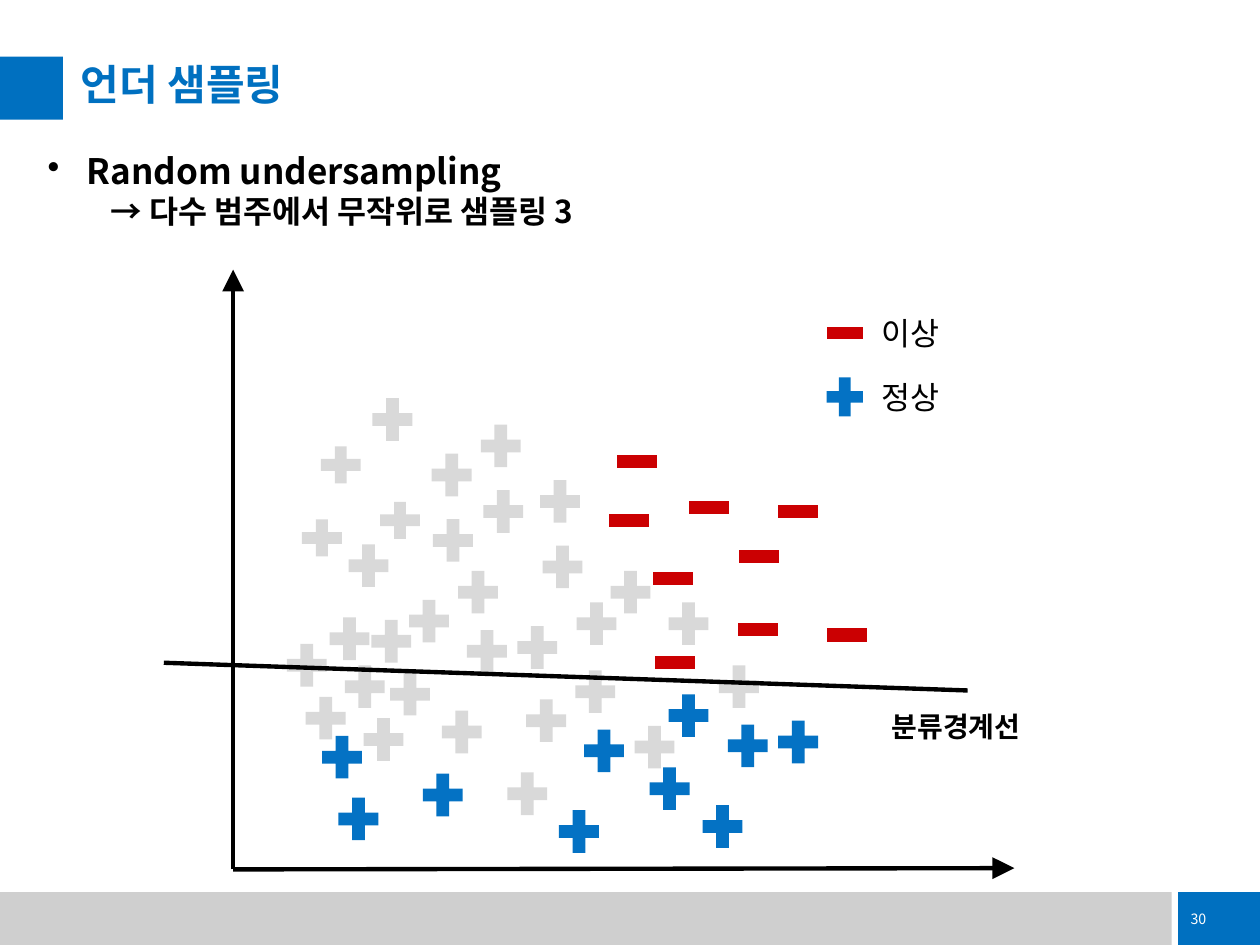
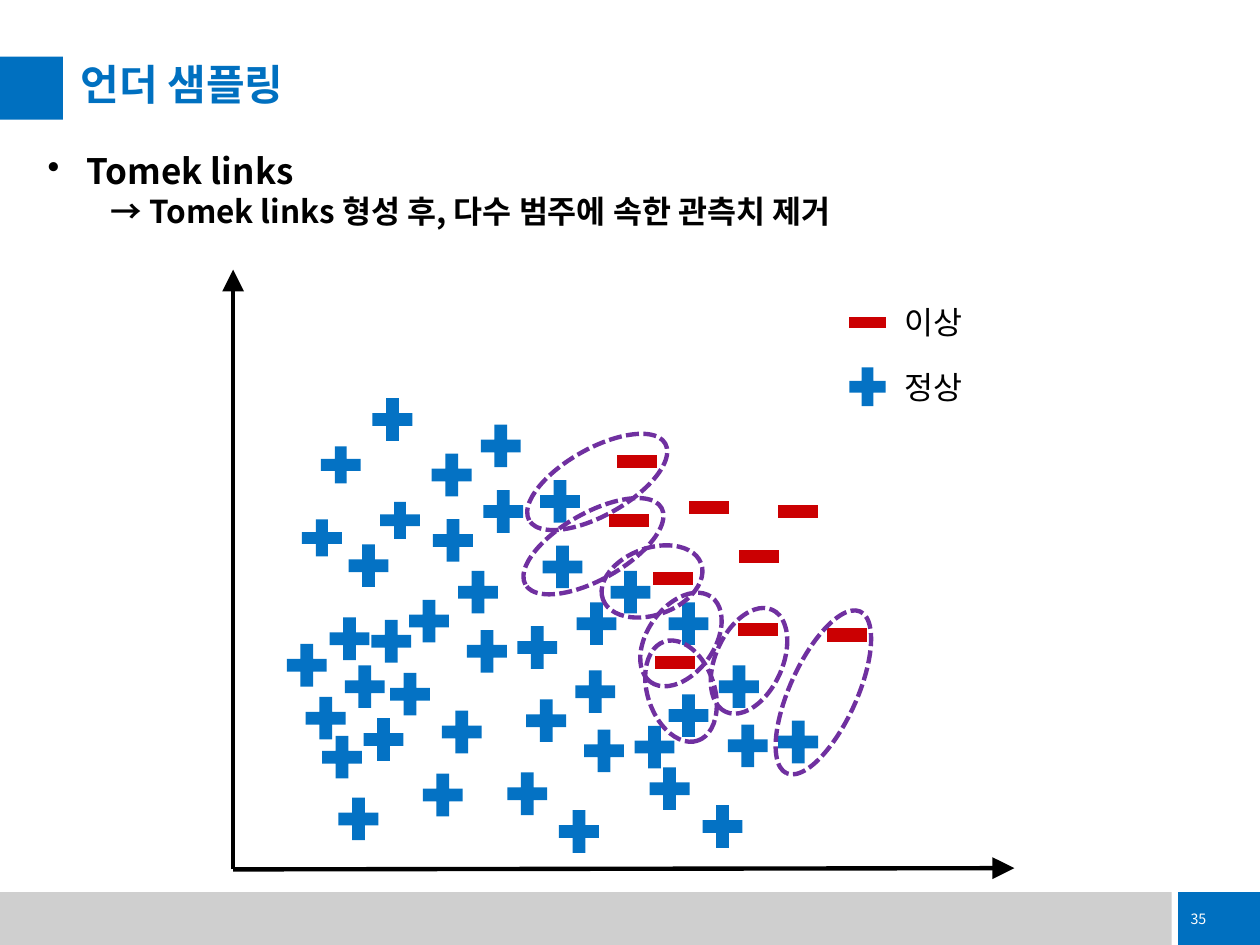
import pptx
import pptx.util
import pptx.dml.color
import pptx.enum.dml
import pptx.enum.shapes
import pptx.enum.text
import pptx.oxml.ns
import lxml.etree

PX = 9144  # 100 px to the inch
FONT = "Noto Sans CJK KR"
BLUE = pptx.dml.color.RGBColor(0x00, 0x70, 0xC0)
NORMAL_BLUE = pptx.dml.color.RGBColor(0x04, 0x72, 0xC4)
ABNORMAL_RED = pptx.dml.color.RGBColor(0xCB, 0x00, 0x02)
REMOVED_GRAY = pptx.dml.color.RGBColor(0xD9, 0xD9, 0xD9)
BAND_GRAY = pptx.dml.color.RGBColor(0xCF, 0xCF, 0xCF)
PURPLE = pptx.dml.color.RGBColor(0x70, 0x30, 0xA0)
BLACK = pptx.dml.color.RGBColor(0, 0, 0)
WHITE = pptx.dml.color.RGBColor(255, 255, 255)

SHAPE = pptx.enum.shapes.MSO_SHAPE
ANCHOR = pptx.enum.text.MSO_ANCHOR
FIT = pptx.enum.text.MSO_AUTO_SIZE
qn = pptx.oxml.ns.qn

TITLE_FRAME = {"margin_left": 0, "margin_top": 0, "margin_right": 0, "margin_bottom": 0,
               "vertical_anchor": ANCHOR.TOP, "auto_size": FIT.NONE, "word_wrap": True}
TEXT_FRAME = {"word_wrap": True, "auto_size": FIT.SHAPE_TO_FIT_TEXT}

# Observations: left, top; the normal ones are split by random undersampling
KEPT = [(458, 573), (438, 637), (263, 627), (330, 608), (250, 578), (525, 545),
        (612, 566), (572, 569), (552, 633), (510, 603)]
REMOVED = [(290, 310), (337, 354), (376, 331), (423, 375), (271, 426), (338, 406),
           (319, 470), (378, 383), (358, 447), (425, 427), (405, 491), (365, 494),
           (345, 558), (256, 484), (237, 547), (304, 528), (412, 549), (451, 526),
           (498, 570), (397, 607), (283, 564), (222, 505), (289, 486), (268, 522),
           (565, 522), (452, 472), (479, 447), (525, 472)]
REMOVED_SHORT = [(249, 349), (296, 393), (234, 407)]
ABNORMAL = [(478, 391), (581, 420), (513, 437), (514, 504), (651, 482), (580, 478),
            (612, 384), (541, 381), (484, 344)]

# Tomek links: left, top, length, rotation
TOMEK_LINKS = [(412, 356, 124, 330.6), (409, 407, 124, 330.6), (476, 435, 83, 340),
               (499, 481, 83, 305.4), (550, 498, 89, 294.5), (583, 523, 141, 294.5),
               (499, 522, 83, 251.3)]

SLIDES = [
    {"page": "30", "method": "Random undersampling", "width": 552,
     "detail": "→ 다수 범주에서 무작위로 샘플링 3",
     "legend": (651, 244), "removed_color": REMOVED_GRAY},
    {"page": "35", "method": "Tomek links", "width": 724,
     "detail": "→ Tomek links 형성 후, 다수 범주에 속한 관측치 제거",
     "legend": (669, 236), "removed_color": NORMAL_BLUE},
]


def add_figure(slide, kind, at, fill=None):
    figure = slide.shapes.add_shape(kind, *(n * PX for n in at))
    figure.shadow.inherit = False
    figure.line.fill.background()
    if fill is None:
        figure.fill.background()
    else:
        figure.fill.solid()
        figure.fill.fore_color.rgb = fill
    return figure


def write(paragraph, text, size, color=BLACK, bold=False, spacing=1.0):
    paragraph.alignment = pptx.enum.text.PP_ALIGN.LEFT
    paragraph.line_spacing = spacing
    run = paragraph.add_run()
    run.text = text
    font_format = {"name": FONT, "size": pptx.util.Pt(size), "bold": bold}
    for key, value in font_format.items():
        setattr(run.font, key, value)
    run.font.color.rgb = color
    lxml.etree.SubElement(run.font._element, qn("a:ea"), typeface=FONT)


deck = pptx.Presentation()
deck.slide_width, deck.slide_height = 1000 * PX, 750 * PX

for content in SLIDES:
    slide = deck.slides.add_slide(deck.slide_layouts[5])

    # Bands, page number and title
    add_figure(slide, SHAPE.RECTANGLE, (0, 708, 930, 42), BAND_GRAY)
    page_box = add_figure(slide, SHAPE.RECTANGLE, (935, 708, 65, 42), BLUE)
    page_box.text_frame.word_wrap = False
    write(page_box.text_frame.paragraphs[0], content["page"], 8.1, WHITE)
    add_figure(slide, SHAPE.RECTANGLE, (0, 45, 50, 50), BLUE)
    title = slide.shapes.title
    title.left, title.top, title.width, title.height = (n * PX for n in (64, 51, 901, 38))
    for key, value in TITLE_FRAME.items():
        setattr(title.text_frame, key, value)
    write(title.text_frame.paragraphs[0], "언더 샘플링", 24, BLUE, True, 0.9)

    # Method and its explanation
    method_box = slide.shapes.add_textbox(
        *(n * PX for n in (28, 114, content["width"], 74))).text_frame
    for key, value in TEXT_FRAME.items():
        setattr(method_box, key, value)
    method = method_box.paragraphs[0]
    detail = method_box.add_paragraph()
    detail.level = 1
    write(method, content["method"], 20, bold=True)
    write(detail, content["detail"], 18, bold=True)
    for paragraph, margin, indent in ((method, 31, -31), (detail, 50, 0)):
        properties = paragraph._p.get_or_add_pPr()
        properties.set("marL", str(margin * PX))
        properties.set("indent", str(indent * PX))
    lxml.etree.SubElement(method._p.pPr, qn("a:buChar"), char="•")

    # Legend
    legend_left, legend_top = content["legend"]
    add_figure(slide, SHAPE.MATH_MINUS, (legend_left, legend_top, 39, 40), ABNORMAL_RED)
    add_figure(slide, SHAPE.MATH_PLUS, (legend_left, legend_top + 50, 39, 42), NORMAL_BLUE)
    for row, label in enumerate(("이상", "정상")):
        label_box = slide.shapes.add_textbox(
            *(n * PX for n in (legend_left + 39, legend_top + 51 * row, 115, 40))).text_frame
        for key, value in TEXT_FRAME.items():
            setattr(label_box, key, value)
        write(label_box.paragraphs[0], label, 18)

    # Observations
    for points, kind, height, color in (
            (REMOVED, SHAPE.MATH_PLUS, 46, content["removed_color"]),
            (REMOVED_SHORT, SHAPE.MATH_PLUS, 40, content["removed_color"]),
            (KEPT, SHAPE.MATH_PLUS, 46, NORMAL_BLUE),
            (ABNORMAL, SHAPE.MATH_MINUS, 44, ABNORMAL_RED)):
        for left, top in points:
            add_figure(slide, kind, (left, top, 43, height), color)

    # Axes, and the decision boundary on the random undersampling slide
    lines = [((185, 690, 185, 214), True), ((185, 690, 805, 689), True)]
    if content["page"] == "30":
        lines.append(((130, 526, 768, 548), False))
    for ends, has_arrow in lines:
        line = slide.shapes.add_connector(
            pptx.enum.shapes.MSO_CONNECTOR.STRAIGHT, *(n * PX for n in ends))
        line.line.color.rgb = BLACK
        line.line.width = pptx.util.Pt(2.5)
        if has_arrow:
            lxml.etree.SubElement(line.line._get_or_add_ln(), qn("a:tailEnd"),
                                  type="triangle", w="lg", len="lg")
        lxml.etree.SubElement(line._element.spPr, qn("a:effectLst"))

    if content["page"] == "30":
        boundary_label = add_figure(slide, SHAPE.RECTANGLE, (698, 557, 148, 39), WHITE)
        write(boundary_label.text_frame.paragraphs[0], "분류경계선", 16, bold=True)
    else:
        # Tomek links
        for left, top, length, rotation in TOMEK_LINKS:
            link = add_figure(slide, SHAPE.OVAL, (left, top, length, 53))
            link.rotation = rotation
            link.line.color.rgb = PURPLE
            link.line.width = pptx.util.Pt(2.5)
            link.line.dash_style = pptx.enum.dml.MSO_LINE.SQUARE_DOT

deck.save("out.pptx")
